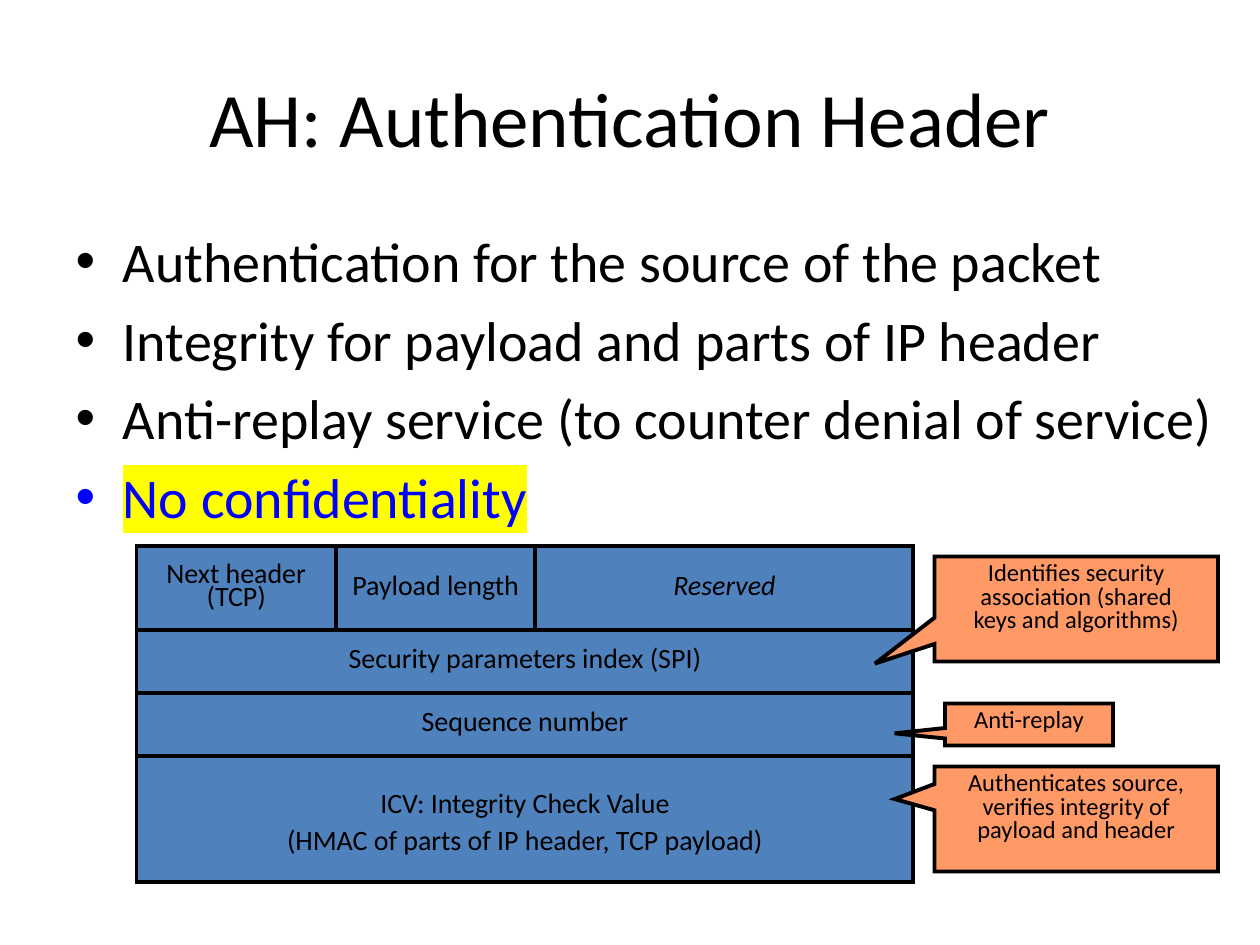
"""Build the Authentication Header slide: bullets, packet layout and callouts."""
from dataclasses import dataclass

from lxml import etree
from pptx import Presentation
from pptx import util as u
from pptx.dml.color import RGBColor
from pptx.enum import shapes, text
from pptx.oxml.ns import qn

PX = 9525


@dataclass(frozen=True)
class Theme:
    font: str = "Calibri"
    ink: str = "000000"
    accent: str = "0000FF"
    marker: str = "FFFF00"
    field: str = "4F81BD"
    callout: str = "FF9966"
    title_pt: int = 44
    body_pt: int = 32
    field_pt: int = 16
    callout_pt: int = 14
    outline_pt: float = 2.25


@dataclass(frozen=True)
class Field:
    lines: tuple[str, ...]
    width: int
    italic: bool = False
    spacing: float = 0.7


@dataclass(frozen=True)
class Row:
    height: int
    fields: tuple[Field, ...]


@dataclass(frozen=True)
class Callout:
    lines: tuple[str, ...]
    box: tuple[int, int, int, int]
    tip: tuple[float, float]


THEME = Theme()
HEADER_LEFT, HEADER_TOP, HEADER_WIDTH = 104, 416, 592

BULLETS = (
    "Authentication for the source of the packet",
    "Integrity for payload and parts of IP header",
    "Anti-replay service (to counter denial of service)",
)
WARNING = "No confidentiality"

ROWS = (
    Row(64, (
        Field(("Next header", "(TCP)"), 152),
        Field(("Payload length",), 152),
        Field(("Reserved",), 288, italic=True),
    )),
    Row(48, (Field(("Security parameters index (SPI)",), HEADER_WIDTH),)),
    Row(48, (Field(("Sequence number",), HEADER_WIDTH),)),
    Row(96, (Field(("ICV: Integrity Check Value",
                    "(HMAC of parts of IP header, TCP payload)"),
                   HEADER_WIDTH, spacing=1.1),)),
)

CALLOUTS = (
    Callout(("Identifies security", "association (shared", "keys and algorithms)"),
            (712, 424, 216, 80), (-0.71, 0.52)),
    Callout(("Anti-replay",), (720, 536, 128, 32), (-0.8, 0.21)),
    Callout(("Authenticates source,", "verifies integrity of", "payload and header"),
            (712, 584, 216, 80), (-0.64, -0.19)),
)


def place(shape, box: tuple[int, int, int, int]) -> None:
    """Move and size a shape in px."""
    shape.left, shape.top, shape.width, shape.height = (side * PX for side in box)


def add_run(paragraph, words: str, size: int, color: str = THEME.ink,
            italic: bool = False):
    """Append one formatted run."""
    run = paragraph.add_run()
    run.text = words
    run.font.size = u.Pt(size)
    run.font.name = THEME.font
    run.font.color.rgb = RGBColor.from_string(color)
    if italic:
        run.font.italic = True
    return run


def highlight(run, color: str) -> None:
    """Mark a run with a background colour."""
    mark = etree.Element(qn("a:highlight"))
    etree.SubElement(mark, qn("a:srgbClr")).set("val", color)
    run.font._element.find(qn("a:solidFill")).addnext(mark)


def add_lines(frame, lines: tuple[str, ...], size: int, spacing: float,
              italic: bool = False) -> None:
    """Write centred lines, one paragraph each."""
    for index, line in enumerate(lines):
        paragraph = frame.add_paragraph() if index else frame.paragraphs[0]
        paragraph.alignment = text.PP_ALIGN.CENTER
        paragraph.line_spacing = spacing
        add_run(paragraph, line, size, italic=italic)


def add_box(slide, kind, box: tuple[int, int, int, int], fill: str):
    """Add a filled preset shape with a sharp-cornered outline."""
    shape = slide.shapes.add_shape(kind, *(side * PX for side in box))
    shape.shadow.inherit = False
    shape.fill.solid()
    shape.fill.fore_color.rgb = RGBColor.from_string(fill)
    shape.line.color.rgb = RGBColor.from_string(THEME.ink)
    shape.line.width = u.Pt(THEME.outline_pt)
    outline = shape._element.spPr.find(qn("a:ln"))
    etree.SubElement(outline, qn("a:miter")).set("lim", "800000")
    return shape


def draw_title(slide) -> None:
    """Fill the title placeholder."""
    title = slide.shapes.title
    place(title, (48, 29, 864, 120))
    title.text_frame.vertical_anchor = text.MSO_ANCHOR.MIDDLE
    paragraph = title.text_frame.paragraphs[0]
    paragraph.alignment = text.PP_ALIGN.CENTER
    add_run(paragraph, "AH: Authentication Header", THEME.title_pt)


def draw_bullets(slide) -> None:
    """Fill the body placeholder and highlight its last point."""
    body = slide.placeholders[1]
    place(body, (48, 168, 888, 256))
    frame = body.text_frame
    frame.auto_size = text.MSO_AUTO_SIZE.NONE
    for index, point in enumerate(BULLETS):
        paragraph = frame.add_paragraph() if index else frame.paragraphs[0]
        add_run(paragraph, point, THEME.body_pt)
    warning = add_run(frame.add_paragraph(), WARNING, THEME.body_pt, THEME.accent)
    highlight(warning, THEME.marker)


def draw_header(slide) -> None:
    """Stack the packet header rows, fields side by side."""
    top = HEADER_TOP
    for row in ROWS:
        left = HEADER_LEFT
        for field in row.fields:
            cell = add_box(slide, shapes.MSO_SHAPE.RECTANGLE,
                           (left, top, field.width, row.height), THEME.field)
            frame = cell.text_frame
            frame.word_wrap = False
            frame.vertical_anchor = text.MSO_ANCHOR.MIDDLE
            add_lines(frame, field.lines, THEME.field_pt, field.spacing, field.italic)
            left += field.width
        top += row.height


def draw_callout(slide, callout: Callout) -> None:
    """Draw one explanation pointing at a header field."""
    shape = add_box(slide, shapes.MSO_SHAPE.RECTANGULAR_CALLOUT,
                    callout.box, THEME.callout)
    shape.adjustments[0], shape.adjustments[1] = callout.tip
    shape.text_frame.vertical_anchor = text.MSO_ANCHOR.TOP
    add_lines(shape.text_frame, callout.lines, THEME.callout_pt, 0.8)


def main() -> None:
    """Build and save the slide."""
    deck = Presentation()
    deck.slide_width, deck.slide_height = 960 * PX, 720 * PX
    slide = deck.slides.add_slide(deck.slide_layouts[1])
    draw_title(slide)
    draw_bullets(slide)
    draw_header(slide)
    for callout in CALLOUTS:
        draw_callout(slide, callout)
    deck.save("out.pptx")


if __name__ == "__main__":
    main()
